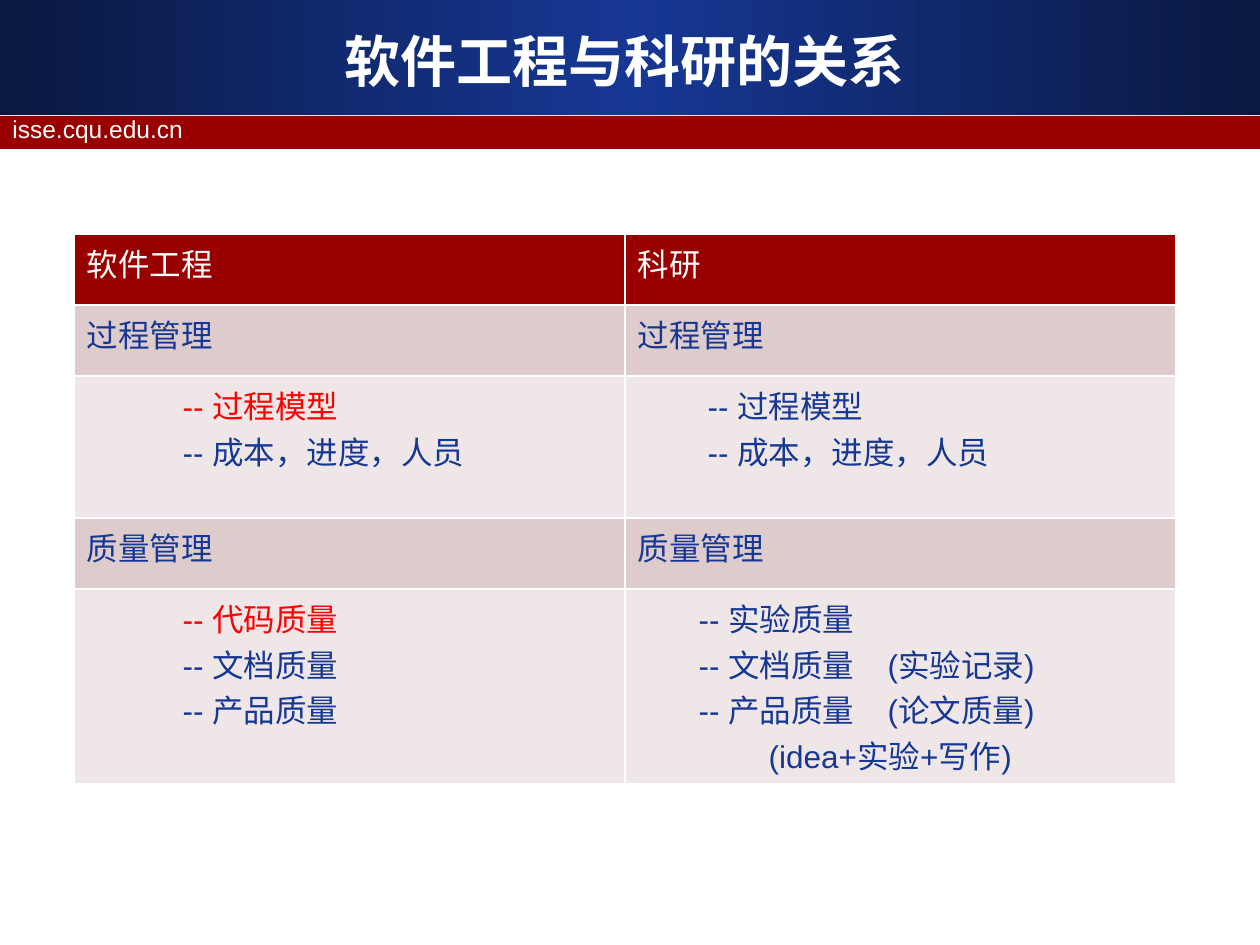
from lxml import etree
from pptx import Presentation
from pptx.dml.color import RGBColor
from pptx.enum.shapes import MSO_SHAPE
from pptx.enum.text import MSO_ANCHOR, MSO_AUTO_SIZE, PP_ALIGN
from pptx.oxml.ns import qn
from pptx.util import Pt

RECT = MSO_SHAPE.RECTANGLE
MIDDLE = MSO_ANCHOR.MIDDLE
NO_FIT = MSO_AUTO_SIZE.NONE
LEFT, CENTER = PP_ALIGN.LEFT, PP_ALIGN.CENTER

WHITE = RGBColor(0xFF, 0xFF, 0xFF)
NAVY = RGBColor(0x0A, 0x19, 0x41)
BLUE = RGBColor(0x16, 0x37, 0x94)
RED = RGBColor(0xFF, 0x00, 0x00)
DARK_RED = RGBColor(0x99, 0x00, 0x00)
ROSE = RGBColor(0xDE, 0xCC, 0xCC)
PALE_ROSE = RGBColor(0xEF, 0xE7, 0xE7)

PX = 914400 // 126
TITLE = "软件工程与科研的关系"
SITE = "isse.cqu.edu.cn"

# Each row: height, fill, cells; each cell lists (text, colour, indent in px).
ROWS = [
    (71, DARK_RED, [[("软件工程", WHITE, 0)], [("科研", WHITE, 0)]]),
    (71, ROSE, [[("过程管理", BLUE, 0)], [("过程管理", BLUE, 0)]]),
    (142, PALE_ROSE, [
        [("-- 过程模型", RED, 96), ("-- 成本，进度，人员", BLUE, 96)],
        [("-- 过程模型", BLUE, 70), ("-- 成本，进度，人员", BLUE, 70)],
    ]),
    (71, ROSE, [[("质量管理", BLUE, 0)], [("质量管理", BLUE, 0)]]),
    (185, PALE_ROSE, [
        [("-- 代码质量", RED, 96), ("-- 文档质量", BLUE, 96),
         ("-- 产品质量", BLUE, 96)],
        [("-- 实验质量", BLUE, 61), ("-- 文档质量\t(实验记录)", BLUE, 61),
         ("-- 产品质量\t(论文质量)", BLUE, 61), ("(idea+实验+写作)", BLUE, 131)],
    ]),
]
COL_WIDTH = 551
NOTE_TAB = 247


def px(*lengths):
    return [n * PX for n in lengths]


def write(p, text, size=18, color=WHITE, font="Arial", bold=False,
          align=LEFT, indent=0):
    p.alignment = align
    if indent:
        p_pr = p._p.get_or_add_pPr()
        p_pr.set("marL", str(indent * PX))
        p_pr.set("indent", "0")
        if "\t" in text:
            tabs = etree.SubElement(p_pr, qn("a:tabLst"))
            etree.SubElement(tabs, qn("a:tab"), pos=str(NOTE_TAB * PX), algn="l")
    r = p.add_run()
    r.text = text
    r.font.size = Pt(size)
    r.font.name = font
    r.font.bold = bold
    r.font.color.rgb = color


def add_band(s, top, height):
    sp = s.shapes.add_shape(RECT, *px(0, top, 1260, height))
    sp.shadow.inherit = False
    sp.line.fill.background()
    return sp


def set_borders(cell, color=WHITE, width=1):
    tc_pr = cell._tc.get_or_add_tcPr()
    for i, side in enumerate(("lnL", "lnR", "lnT", "lnB")):
        ln = etree.Element(qn(f"a:{side}"), w=str(Pt(width)))
        fill = etree.SubElement(ln, qn("a:solidFill"))
        etree.SubElement(fill, qn("a:srgbClr"), val=str(color))
        tc_pr.insert(i, ln)


def add_header(s):
    fill = add_band(s, 0, 115).fill
    fill.gradient()
    fill.gradient_angle = 0
    stops = fill.gradient_stops
    for stop, color in zip(stops, (NAVY, NAVY)):
        stop.color.rgb = color
    g_list = fill._fill._gradFill.gsLst
    middle = etree.Element(qn("a:gs"), pos="50000")
    etree.SubElement(middle, qn("a:srgbClr"), val=str(BLUE))
    g_list.insert(1, middle)

    strip = add_band(s, 116, 33)
    strip.fill.solid()
    strip.fill.fore_color.rgb = DARK_RED

    site = s.shapes.add_textbox(*px(0, 108, 1211, 43)).text_frame
    site.word_wrap = True
    write(site.paragraphs[0], SITE, size=14)

    title = s.shapes.title
    title.left, title.top, title.width, title.height = px(42, 21, 1166, 78)
    tf = title.text_frame
    tf.auto_size = NO_FIT
    tf.vertical_anchor = MIDDLE
    write(tf.paragraphs[0], TITLE, size=32, font="DejaVu Sans", bold=True,
          align=CENTER)
    # Bring the title in front of the bands.
    title.element.getparent().append(title.element)


def add_comparison(s):
    height = sum(row[0] for row in ROWS)
    table = s.shapes.add_table(
        len(ROWS), 2, *px(74, 234, 2 * COL_WIDTH, height)).table
    for row, (row_height, fill, cells) in zip(table.rows, ROWS):
        row.height = row_height * PX
        for cell, lines in zip(row.cells, cells):
            cell.fill.solid()
            cell.fill.fore_color.rgb = fill
            set_borders(cell)
            tf = cell.text_frame
            for i, (text, color, indent) in enumerate(lines):
                p = tf.add_paragraph() if i else tf.paragraphs[0]
                write(p, text, color=color, indent=indent)


def main():
    prs = Presentation()
    prs.slide_width, prs.slide_height = px(1260, 945)
    s = prs.slides.add_slide(prs.slide_layouts[5])
    add_header(s)
    add_comparison(s)
    prs.save("out.pptx")


if __name__ == "__main__":
    main()
